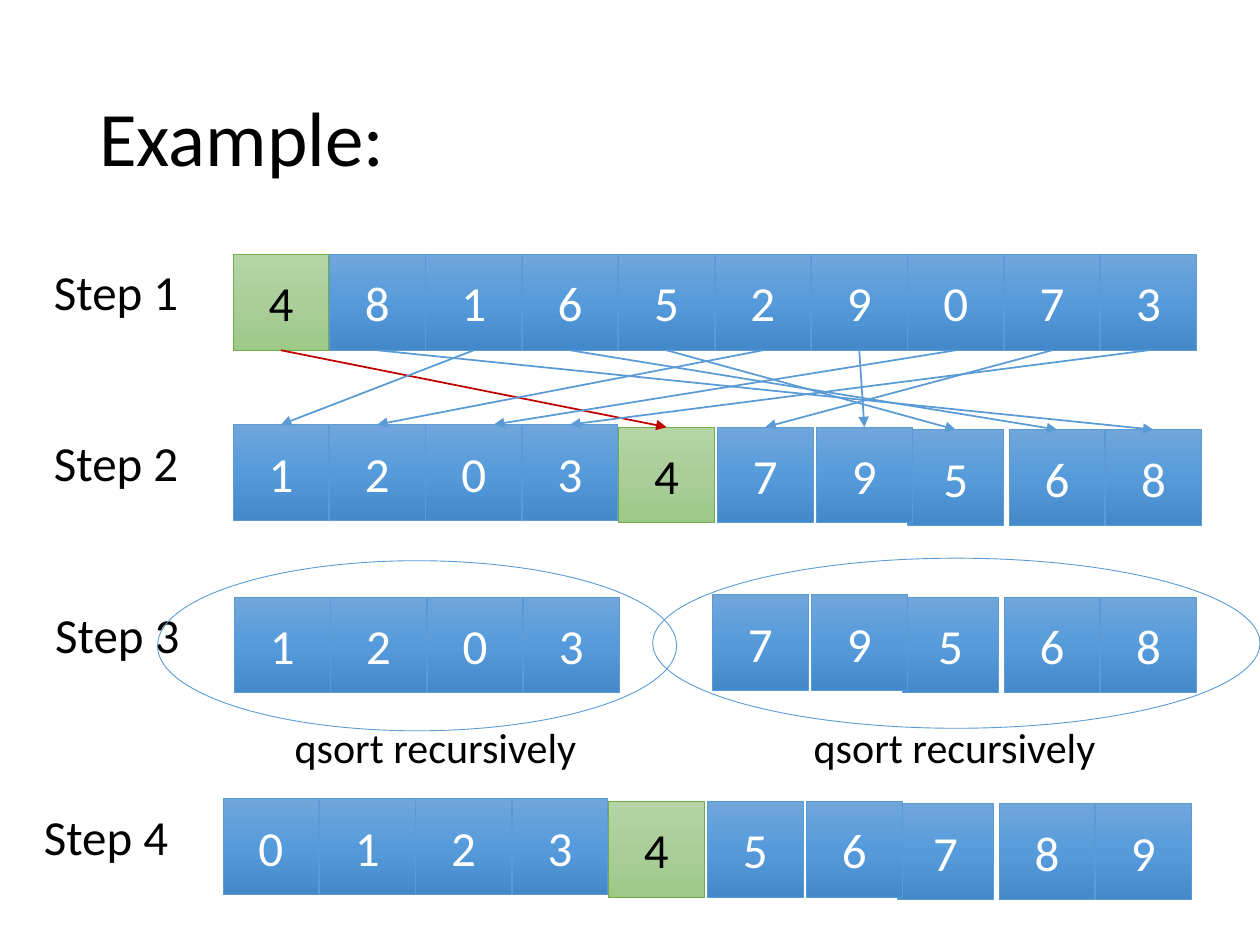
from copy import deepcopy

from lxml.etree import SubElement
from pptx import Presentation
from pptx.dml.color import RGBColor
from pptx.enum.shapes import MSO_CONNECTOR, MSO_SHAPE
from pptx.enum.text import MSO_ANCHOR, PP_ALIGN
from pptx.oxml.ns import qn
from pptx.util import Inches, Pt

COLORS = {
    "text": "000000",
    "cell_text": "FFFFFF",
    "blue_line": "5B9BD5",
    "green_line": "70AD47",
    "pivot_arrow": "C00000",
}
GRADIENTS = {
    "blue": ["71A6DB", "559BDB", "448ACA"],
    "green": ["B5D5A7", "AACE9A", "9CC987"],
}
CELL = 0.76
PITCH = 0.765
LEFT = 1.85
PIVOT = "4"

prs = Presentation()
prs.slide_width, prs.slide_height = Inches(10), Inches(7.5)
s = prs.slides.add_slide(prs.slide_layouts[6])


def write(sp, text, size, color):
    """Put one run into the shape and return its paragraph."""
    p = sp.text_frame.paragraphs[0]
    r = p.add_run()
    r.text = text
    r.font.name = "Calibri"
    r.font.size = Pt(size)
    r.font.color.rgb = RGBColor.from_string(COLORS[color])
    return p


def add_cell(digit, x, y):
    hue = "green" if digit == PIVOT else "blue"
    sp = s.shapes.add_shape(MSO_SHAPE.RECTANGLE, Inches(x), Inches(y), Inches(CELL), Inches(CELL))
    sp.shadow.inherit = False
    sp.fill.gradient()
    sp.fill.gradient_angle = 270  # counter-clockwise, so top to bottom
    first = sp._element.spPr.find(".//" + qn("a:gs"))
    first.addnext(deepcopy(first))
    for stop, position, color in zip(sp.fill.gradient_stops, (0, 0.5, 1), GRADIENTS[hue]):
        stop.position = position
        stop.color.rgb = RGBColor.from_string(color)
    sp.line.color.rgb = RGBColor.from_string(COLORS[hue + "_line"])
    sp.line.width = Pt(0.5)
    sp.text_frame.vertical_anchor = MSO_ANCHOR.MIDDLE
    p = write(sp, digit, 28, "text" if digit == PIVOT else "cell_text")
    p.alignment = PP_ALIGN.CENTER
    return sp


# Title
title = s.shapes.add_textbox(Inches(0.69), Inches(0.4), Inches(8.62), Inches(1.45))
title.text_frame.word_wrap = True
title.text_frame.vertical_anchor = MSO_ANCHOR.MIDDLE
write(title, "Example:", 44, "text").line_spacing = 0.9

# Step labels and captions
for text, x, y, w, h, size in [
    ("Step 1", 0.33, 2.03, 1.2, 0.57, 28),
    ("Step 2", 0.33, 3.38, 1.2, 0.57, 28),
    ("Step 3", 0.34, 4.75, 1.2, 0.57, 28),
    ("Step 4", 0.25, 6.35, 1.2, 0.57, 28),
    ("qsort recursively", 2.24, 5.68, 2.46, 0.5, 24),
    ("qsort recursively", 6.36, 5.68, 2.46, 0.5, 24),
]:
    tb = s.shapes.add_textbox(Inches(x), Inches(y), Inches(w), Inches(h))
    tb.text_frame.word_wrap = False
    write(tb, text, size, "text")

# Step 1: the unsorted array on an even grid
unsorted_cells = {d: add_cell(d, LEFT + i * PITCH, 2.02) for i, d in enumerate("4816529073")}

# Later steps share one set of slightly shifted slots, drawn from right to left
nudges = [0, 0, 0, 0, 0, 0.02, 0.04, 0, 0.04, 0.04]
drops = [0, 0, 0, 0, 0.02, 0.02, 0.02, 0.04, 0.04, 0.04]
slots = [(LEFT + i * PITCH + dx, 3.37 + dy) for i, (dx, dy) in enumerate(zip(nudges, drops))]

partitioned_cells = {}
for digits, start, dx, dy in [
    ("1203479568", 0, 0, 0),
    ("1203", 0, 0.01, 1.37),
    ("79568", 5, -0.04, 1.33),
    ("0123456789", 0, -0.08, 2.97),
]:
    for digit, (x, y) in reversed(list(zip(digits, slots[start:]))):
        cell = add_cell(digit, x + dx, y + dy)
        if (dx, dy) == (0, 0):
            partitioned_cells[digit] = cell

# Arrows from each digit to its place after partitioning
for digit, source in unsorted_cells.items():
    c = s.shapes.add_connector(MSO_CONNECTOR.STRAIGHT, 0, 0, Inches(3.92), Inches(3.37))
    c.begin_connect(source, 2)
    if digit != "0":  # this arrow lands right of the middle of its cell
        c.end_connect(partitioned_cells[digit], 0)
    color = "pivot_arrow" if digit == PIVOT else "blue_line"
    c.line.color.rgb = RGBColor.from_string(COLORS[color])
    c.line.width = Pt(1)
    SubElement(c.line._get_or_add_ln(), qn("a:tailEnd"), type="triangle")
    SubElement(c._element.spPr, qn("a:effectLst"))

# Ellipses around the two halves
for x, y, w in [(1.25, 4.45, 4.12), (5.18, 4.43, 4.82)]:
    sp = s.shapes.add_shape(MSO_SHAPE.OVAL, Inches(x), Inches(y), Inches(w), Inches(1.35))
    sp.shadow.inherit = False
    sp.fill.background()
    sp.line.color.rgb = RGBColor.from_string(COLORS["blue_line"])
    sp.line.width = Pt(0.5)

prs.save("out.pptx")
